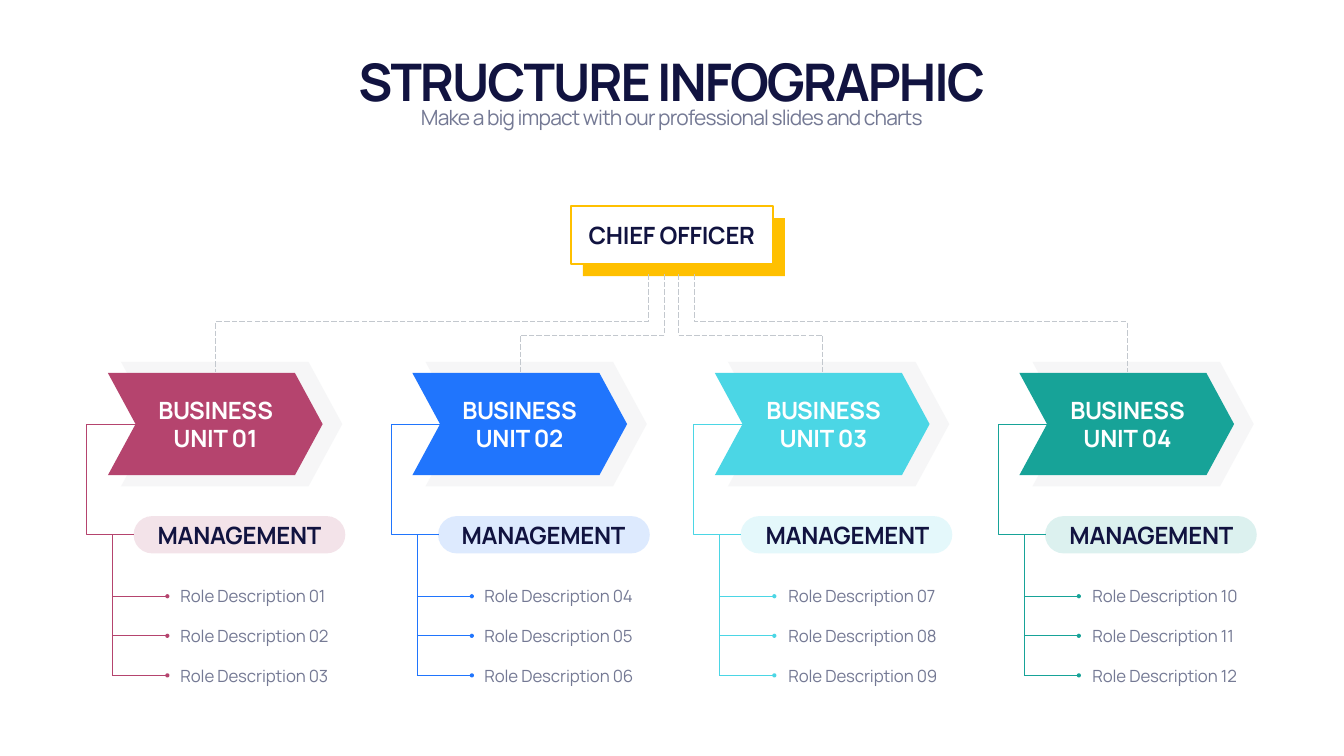
from dataclasses import dataclass

from lxml.etree import SubElement
from pptx import Presentation
from pptx.dml.color import RGBColor
from pptx.enum.dml import MSO_LINE
from pptx.enum.shapes import MSO_CONNECTOR, MSO_SHAPE
from pptx.enum.text import MSO_ANCHOR, MSO_AUTO_SIZE, PP_ALIGN
from pptx.oxml.ns import qn
from pptx.util import Inches, Pt


@dataclass(frozen=True)
class TextStyle:
    size: int
    color: str
    bold: bool = False
    tracking: int = 0
    align: PP_ALIGN = PP_ALIGN.CENTER
    anchor: MSO_ANCHOR = MSO_ANCHOR.MIDDLE
    leading: int = 0
    side_margin: float = 0


@dataclass(frozen=True)
class Theme:
    font: str = "Manrope"
    gold: str = "FFC000"
    gray: str = "C3C8CE"
    units: tuple = ("B5446E", "2075FD", "4BD6E5", "17A398")
    tint: int = 15
    title: TextStyle = TextStyle(74, "111340", True, -290, anchor=MSO_ANCHOR.BOTTOM)
    subtitle: TextStyle = TextStyle(30, "747994", tracking=-120, anchor=MSO_ANCHOR.TOP)
    heading: TextStyle = TextStyle(34, "111340", True, -30)
    unit: TextStyle = TextStyle(34, "FFFFFF", True, -30)
    role: TextStyle = TextStyle(24, "747994", tracking=-20, align=PP_ALIGN.LEFT,
                                leading=36, side_margin=0.08)


THEME = Theme()
UNIT_LEFTS = (2.14, 8.18, 14.18, 20.22)
TEXT_PITCH = 6.03
ROLE_COUNT = 3
ROLE_TOP = 11.83
ROLE_PITCH = 0.785
BRANCHES = ((12.86, 6.38), (13.18, 6.65), (13.46, 6.65), (13.77, 6.38))


def paint(area, color, opacity=100):
    area.shadow.inherit = False
    area.fill.solid()
    area.fill.fore_color.rgb = RGBColor.from_string(color)
    if opacity < 100:
        tone = area.fill._xPr.find(qn("a:solidFill"))[0]
        SubElement(tone, qn("a:alpha")).set("val", str(opacity * 1000))
    area.line.fill.background()


def stroke(line, color, width=1):
    line.color.rgb = RGBColor.from_string(color)
    line.width = Pt(width)


def trace(slide, points, close):
    (x, y), *rest = [(Inches(x), Inches(y)) for x, y in points]
    builder = slide.shapes.build_freeform(x, y)
    builder.add_line_segments(rest, close=close)
    return builder.convert_to_shape()


def add_area(slide, points, color, opacity=100):
    paint(trace(slide, points, True), color, opacity)


def add_route(slide, points, color, width=1, dashed=False, close=False):
    route = trace(slide, points, close)
    route.shadow.inherit = False
    route.fill.background()
    stroke(route.line, color, width)
    if dashed:
        route.line.dash_style = MSO_LINE.LONG_DASH


def add_role_line(slide, left, y, color):
    role_line = slide.shapes.add_connector(
        MSO_CONNECTOR.STRAIGHT, Inches(left), Inches(y), Inches(left + 1.09), Inches(y))
    stroke(role_line.line, color)
    SubElement(role_line.line._get_or_add_ln(), qn("a:tailEnd")).set("type", "oval")
    SubElement(role_line._element.spPr, qn("a:effectLst"))


def write(holder, text, box, style):
    holder.left, holder.top, holder.width, holder.height = map(Inches, box)
    frame = holder.text_frame
    frame.word_wrap = True
    frame.auto_size = MSO_AUTO_SIZE.NONE
    frame.vertical_anchor = style.anchor
    frame.margin_left = frame.margin_right = Inches(style.side_margin)
    frame.margin_top = frame.margin_bottom = 0
    paragraph = frame.paragraphs[0]
    paragraph.alignment = style.align
    paragraph.space_before = Pt(0)
    if style.leading:
        paragraph.line_spacing = Pt(style.leading)
    run = paragraph.add_run()
    run.text = text
    run.font.name = THEME.font
    run.font.size = Pt(style.size)
    run.font.bold = style.bold
    run.font.color.rgb = RGBColor.from_string(style.color)
    run.font._element.set("spc", str(style.tracking))


def add_label(slide, text, box, style):
    write(slide.shapes.add_textbox(*map(Inches, box)), text, box, style)


def chevron(left, top, body, tip, height):
    middle, bottom = top + height / 2, top + height
    return [(left + body, bottom), (left, bottom), (left + tip, middle),
            (left, top), (left + body, top), (left + body + tip, middle)]


def add_chief(slide):
    add_route(slide, [(11.33, 4.09), (15.33, 4.09), (15.33, 5.24), (11.33, 5.24)],
              THEME.gold, 2, close=True)
    add_area(slide, [(15.33, 4.33), (15.33, 5.24), (11.56, 5.24), (11.56, 5.48),
                     (15.57, 5.48), (15.57, 4.33)], THEME.gold)
    add_label(slide, "CHIEF OFFICER", (11.44, 4.33, 3.77, 0.67), THEME.heading)


def add_unit_figure(slide, left, color, branch):
    pill = slide.shapes.add_shape(MSO_SHAPE.ROUNDED_RECTANGLE, Inches(left + 0.51),
                                  Inches(10.24), Inches(4.2), Inches(0.74))
    pill.adjustments[0] = 0.5
    paint(pill, color, THEME.tint)
    add_area(slide, chevron(left + 0.26, 7.18, 3.72, 0.67, 2.47), THEME.gray, THEME.tint)
    add_area(slide, chevron(left, 7.4, 3.71, 0.55, 2.03), color)

    add_route(slide, [(left + 0.56, 8.42), (left - 0.42, 8.42),
                      (left - 0.42, 10.61), (left + 0.52, 10.61)], color)
    trunk = left + 0.09
    last_role = ROLE_TOP + (ROLE_COUNT - 1) * ROLE_PITCH
    add_route(slide, [(trunk, 10.61), (trunk, last_role)], color)
    for row in range(ROLE_COUNT):
        add_role_line(slide, trunk, ROLE_TOP + row * ROLE_PITCH, color)

    start, bend = branch
    end = left + 2.14
    add_route(slide, [(start, 5.44), (start, bend), (end, bend), (end, 7.39)],
              THEME.gray, dashed=True)


def add_unit_text(slide, index):
    shift = index * TEXT_PITCH
    add_label(slide, f"BUSINESS UNIT {index + 1:02}", (2.64 + shift, 7.79, 3.27, 1.25),
              THEME.unit)
    add_label(slide, "MANAGEMENT", (2.79 + shift, 10.27, 3.92, 0.67), THEME.heading)
    for row in range(ROLE_COUNT):
        number = index * ROLE_COUNT + row + 1
        add_label(slide, f"Role Description {number:02}",
                  (3.5 + shift, ROLE_TOP - 0.34 + row * ROLE_PITCH, 3.42, 0.58), THEME.role)


def main():
    deck = Presentation()
    deck.slide_width, deck.slide_height = Inches(26.66), Inches(15)
    slide = deck.slides.add_slide(deck.slide_layouts[0])
    heading, tagline = slide.placeholders
    write(heading, "STRUCTURE INFOGRAPHIC", (1.66, 0.82, 23.33, 1.4), THEME.title)
    write(tagline, "Make a big impact with our professional slides and charts",
          (1.66, 2.07, 23.33, 0.61), THEME.subtitle)
    add_chief(slide)
    for index, unit in enumerate(zip(UNIT_LEFTS, THEME.units, BRANCHES)):
        add_unit_figure(slide, *unit)
        add_unit_text(slide, index)
    deck.save("out.pptx")


if __name__ == "__main__":
    main()
